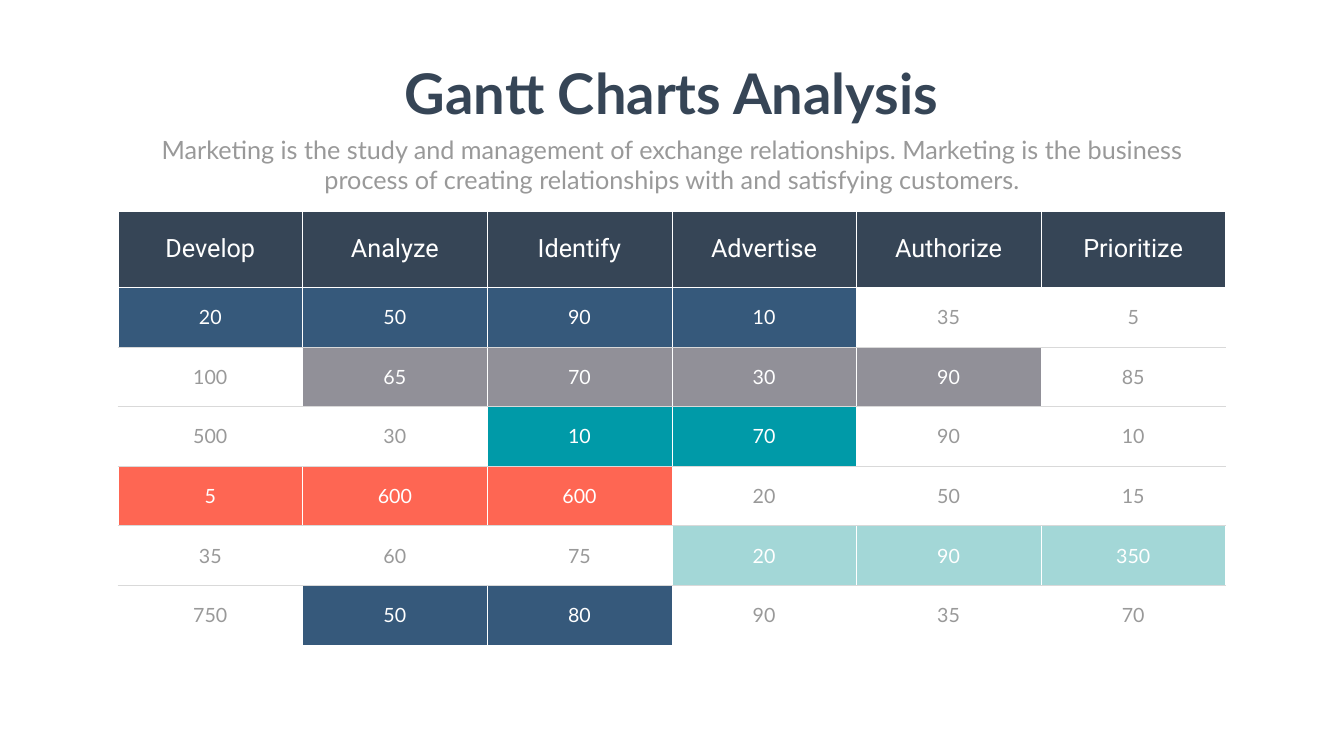
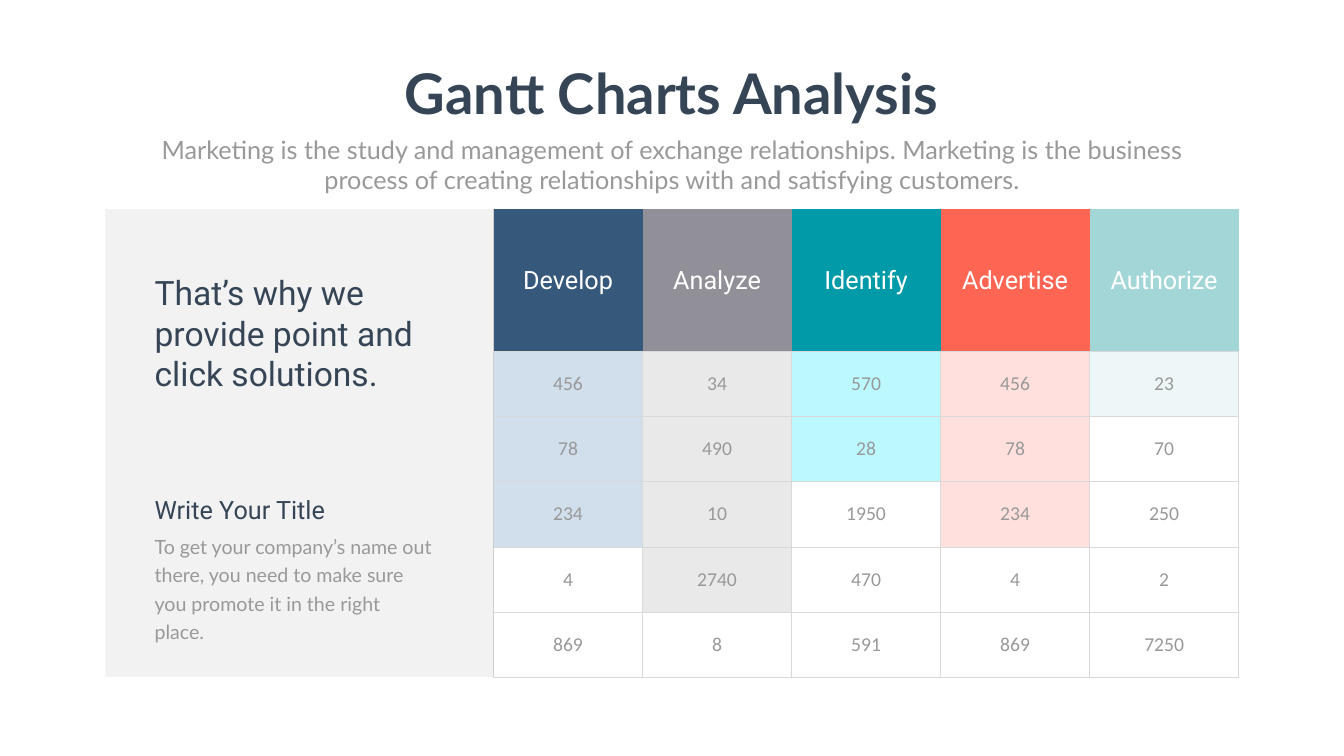
from dataclasses import dataclass

from lxml import etree
from pptx import Presentation
from pptx import util as u
from pptx.dml import color
from pptx.enum import shapes, text
from pptx.oxml import ns


@dataclass(frozen=True)
class Theme:
    dark: str = "364556"
    grey: str = "999999"
    rule: str = "D9D9D9"
    white: str = "FFFFFF"
    panel: str = "808080"
    navy: str = "36597B"
    stone: str = "919098"
    teal: str = "009AA8"
    coral: str = "FE6653"
    mint: str = "A3D7D7"
    tints: tuple = ("D1DEEB", "E9E9EA", "BBF9FF", "FFE0DD", "EDF7F7")
    title: int = 80
    statement: int = 48
    heading: int = 36
    body: int = 28


theme = Theme()
accents = [theme.navy, theme.stone, theme.teal, theme.coral, theme.mint]
plain_style = "{2D5ABB26-0587-4C30-8999-92F81FD0307C}"

title_style = {"name": "Lato", "size": u.Pt(theme.title), "bold": True}
intro_style = {"name": "Lato", "size": u.Pt(theme.heading)}
statement_style = {"name": "Roboto", "size": u.Pt(theme.statement)}
heading_style = {"name": "Roboto", "size": u.Pt(theme.heading)}
body_style = {"name": "Lato", "size": u.Pt(theme.body)}
figure_style = {"name": "Calibri", "size": u.Pt(theme.body)}

centred = {"alignment": text.PP_ALIGN.CENTER}
left_set = {"alignment": text.PP_ALIGN.LEFT}
spaced = {**left_set, "line_spacing": u.Pt(40.8)}


def write(frame, wording, style, ink, layout):
    para = frame.paragraphs[0]
    span = para.add_run()
    span.text = wording
    for name, value in layout.items():
        setattr(para, name, value)
    for name, value in style.items():
        setattr(span.font, name, value)
    span.font.color.rgb = color.RGBColor.from_string(ink)


def add_grid(page, place, column_width, heights, cells, edges):
    frame = page.shapes.add_table(len(cells), len(cells[0]), *map(u.Pt, place))
    grid = frame.table
    grid.first_row = grid.horz_banding = False
    frame._element.find(".//" + ns.qn("a:tableStyleId")).text = plain_style
    for column in grid.columns:
        column.width = u.Pt(column_width)
    for number, row in enumerate(grid.rows):
        row.height = u.Pt(heights[min(number, 1)])
        for position, cell in enumerate(row.cells):
            wording, style, ink, fill = cells[number][position]
            cell.vertical_anchor = text.MSO_ANCHOR.MIDDLE
            write(cell.text_frame, wording, style, ink, centred)
            properties = cell._tc.get_or_add_tcPr()
            for side, edge in zip("LRTB", edges(number, position)):
                if edge:
                    line = etree.SubElement(properties, ns.qn("a:ln" + side), w=str(u.Pt(edge[1])))
                    solid = etree.SubElement(line, ns.qn("a:solidFill"))
                    etree.SubElement(solid, ns.qn("a:srgbClr"), val=edge[0])
            cell.fill.solid()
            cell.fill.fore_color.rgb = color.RGBColor.from_string(fill)
    return grid


deck = Presentation()
deck.slide_width, deck.slide_height = u.Pt(1919.52), u.Pt(1080)
schedule, comparison = [deck.slides.add_slide(deck.slide_layouts[6]) for _ in range(2)]

thin, thick, grey_edge = (theme.white, 0.5), (theme.white, 1), (theme.rule, 1)
levels = [thick, thin] + [grey_edge] * 5 + [thin]

stages = ["Develop", "Analyze", "Identify", "Advertise", "Authorize", "Prioritize"]
bars = [
    ([20, 50, 90, 10, 35, 5], theme.navy, range(0, 4)),
    ([100, 65, 70, 30, 90, 85], theme.stone, range(1, 5)),
    ([500, 30, 10, 70, 90, 10], theme.teal, range(2, 4)),
    ([5, 600, 600, 20, 50, 15], theme.coral, range(0, 3)),
    ([35, 60, 75, 20, 90, 350], theme.mint, range(3, 6)),
    ([750, 50, 80, 90, 35, 70], theme.navy, range(1, 3)),
]
cells = [[(stage, heading_style, theme.white, theme.dark) for stage in stages]]
for values, fill, span in bars:
    cells.append([
        (str(value), body_style, theme.white, fill) if position in span
        else (str(value), body_style, theme.grey, theme.white)
        for position, value in enumerate(values)
    ])
add_grid(
    schedule, (168.5, 301.7, 1581.8, 619.9), 263.64, (108.7, 85.2), cells,
    lambda row, column: (thin if column else thick, thin, levels[row], levels[row + 1]),
)

figures = [
    [456, 34, 570, 456, 23],
    [78, 490, 28, 78, 70],
    [234, 10, 1950, 234, 250],
    [4, 2740, 470, 4, 2],
    [869, 8, 591, 869, 7250],
]
tinted_rows = [3, 4, 2, 3, 1]
cells = [[(stage, heading_style, theme.white, fill) for stage, fill in zip(stages, accents)]]
for number, values in enumerate(figures):
    cells.append([
        (str(value), figure_style, theme.grey, tint if number < depth else theme.white)
        for value, tint, depth in zip(values, theme.tints, tinted_rows)
    ])
comparison_grid = add_grid(
    comparison, (704.9, 298.8, 1064.2, 668.2), 212.84, (203.7, 92.9), cells,
    lambda row, column: (grey_edge,) * 4 if row
    else (None if column else grey_edge, None, None, grey_edge),
)
header_margins = {"margin_left": 10, "margin_right": 10, "margin_top": 5, "margin_bottom": 5}
for cell in comparison_grid.rows[0].cells:
    for name, value in header_margins.items():
        setattr(cell, name, u.Pt(value))

panel = comparison.shapes.add_shape(
    shapes.MSO_SHAPE.RECTANGLE, *map(u.Pt, (150.5, 298.8, 555, 668.2)))
panel.shadow.inherit = False
panel.line.fill.background()
panel.fill.solid()
panel.fill.fore_color.rgb = color.RGBColor.from_string(theme.panel)
tone = panel._element.spPr.find(".//" + ns.qn("a:srgbClr"))
etree.SubElement(tone, ns.qn("a:alpha"), val="10000")

headline = [
    ("Gantt Charts Analysis", (559.4, 80.6, 800, 104.4), title_style, theme.dark, centred, False),
    ("Marketing is the study and management of exchange relationships. Marketing is the business "
     "process of creating relationships with and satisfying customers.",
     (210.2, 187.9, 1499, 94.3), intro_style, theme.grey, centred, True),
]
sidebar = [
    ("To get your company’s name out there, you need to make sure you promote it in the right place.",
     (213.8, 753.1, 412.6, 127.4), body_style, theme.grey, spaced, True),
    ("Write Your Title", (213.8, 702, 412.6, 51.1), heading_style, theme.dark, left_set, True),
    ("That’s why we provide point and click solutions.",
     (213.8, 385.2, 442.1, 181.4), statement_style, theme.dark, left_set, True),
]
for page, texts in ((schedule, headline), (comparison, sidebar + headline)):
    for wording, place, style, ink, layout, wrap in texts:
        box = page.shapes.add_textbox(*map(u.Pt, place))
        box.text_frame.word_wrap = wrap
        box.text_frame.auto_size = text.MSO_AUTO_SIZE.SHAPE_TO_FIT_TEXT
        write(box.text_frame, wording, style, ink, layout)

deck.save("out.pptx")
